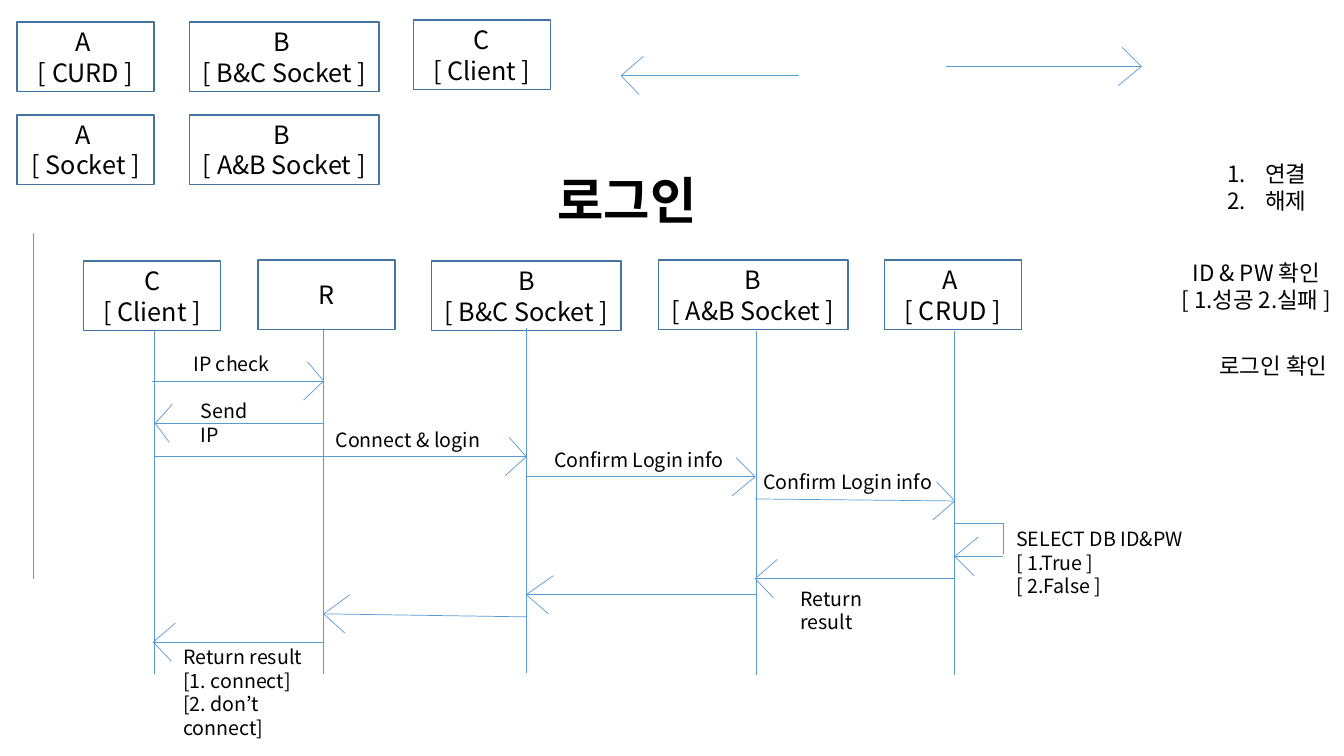
"""Builds the login sequence diagram slide."""
from dataclasses import dataclass

from lxml import etree
from pptx import Presentation
from pptx.dml.color import RGBColor
from pptx.enum.shapes import MSO_CONNECTOR, MSO_SHAPE
from pptx.enum.text import MSO_ANCHOR, MSO_AUTO_SIZE, PP_ALIGN
from pptx.oxml.ns import qn
from pptx.slide import Slide
from pptx.text.text import TextFrame
from pptx.util import Pt

RECTANGLE = MSO_SHAPE.RECTANGLE
STRAIGHT = MSO_CONNECTOR.STRAIGHT
LEFT, CENTER = PP_ALIGN.LEFT, PP_ALIGN.CENTER
MIDDLE = MSO_ANCHOR.MIDDLE
FIT_TEXT = MSO_AUTO_SIZE.SHAPE_TO_FIT_TEXT

EMU_PER_PX = 9144
FONT = "Noto Sans CJK KR"
BLACK = RGBColor(0x00, 0x00, 0x00)
BORDER = RGBColor(0x43, 0x73, 0x9E)
LINE = RGBColor(0x5B, 0x9B, 0xD5)

NARROW, WIDE, ACTOR_HEIGHT = 136, 188, 69
BARB_HEIGHT, LONG_BARB = 19, 1.23
NUMBER_INDENT = 38


@dataclass(frozen=True)
class Actor:
    text: str
    left: int
    top: int
    width: int = NARROW


@dataclass(frozen=True)
class Segment:
    x1: int
    y1: int
    x2: int
    y2: int


@dataclass(frozen=True)
class Message:
    shaft: Segment
    barb: int = 18


@dataclass(frozen=True)
class Label:
    text: str
    left: int
    top: int
    width: int
    height: int = 34
    size: int = 14
    align: PP_ALIGN = LEFT
    bold: bool = False
    numbered: bool = False


ACTORS = [
    Actor("A \n[ CURD ]", 17, 22),
    Actor("A \n[ Socket ]", 17, 114),
    Actor("B \n[ B&C Socket ]", 188, 22, WIDE),
    Actor("B \n[ A&B Socket ]", 188, 114, WIDE),
    Actor("C\n[ Client ]", 410, 20),
    Actor("C\n[ Client ]", 83, 259),
    Actor("R", 256, 258),
    Actor("B\n[ B&C Socket ]", 428, 259, WIDE),
    Actor("B\n[ A&B Socket ]", 653, 258, WIDE),
    Actor("A \n[ CRUD ]", 877, 258),
]

LIFELINES = [
    Segment(33, 231, 33, 574),
    Segment(153, 327, 153, 669),
    Segment(321, 327, 321, 669),
    Segment(522, 325, 522, 668),
    Segment(750, 328, 750, 670),
    Segment(947, 328, 947, 670),
]

SELF_CALL = [Segment(947, 519, 995, 519), Segment(995, 519, 995, 550)]

MESSAGES = [
    Message(Segment(792, 75, 616, 75)),
    Message(Segment(938, 66, 1132, 66), 19),
    Message(Segment(151, 378, 321, 378), 16),
    Message(Segment(321, 420, 154, 420), 14),
    Message(Segment(154, 453, 522, 453), 17),
    Message(Segment(522, 473, 749, 473), 19),
    Message(Segment(749, 495, 947, 497)),
    Message(Segment(995, 552, 947, 552), 19),
    Message(Segment(947, 574, 749, 574)),
    Message(Segment(750, 590, 522, 590), 22),
    Message(Segment(522, 612, 321, 609), 21),
    Message(Segment(321, 637, 152, 637)),
]

LABELS = [
    Label("로그인", 543, 163, 172, 71, 36, bold=True),
    Label("연결\n해제", 1205, 154, 103, 64, 16, CENTER, numbered=True),
    Label("ID & PW 확인\n[ 1.성공 2.실패 ]", 1155, 252, 182, 64, 16, CENTER),
    Label("로그인 확인", 1193, 344, 140, 37, 16, CENTER),
    Label("IP check", 182, 344, 98, 37),
    Label("Send IP", 189, 391, 88),
    Label("Connect & login", 323, 420, 168),
    Label("Confirm Login info", 540, 439, 188),
    Label("Confirm Login info", 747, 461, 188),
    Label("SELECT DB ID&PW\n[ 1.True ]\n[ 2.False ]", 998, 518, 189, 81),
    Label("Return result", 784, 577, 134),
    Label("Return result\n[1. connect]\n[2. don’t connect]", 172, 635, 178, 81),
]


def px(length: int) -> int:
    """Convert px to EMU."""
    return length * EMU_PER_PX


def write_text(frame: TextFrame, text: str, size: int, align: PP_ALIGN, bold: bool = False) -> None:
    """Fill a text frame and format every run."""
    frame.word_wrap = True
    frame.text = text
    for paragraph in frame.paragraphs:
        paragraph.alignment = align
        for run in paragraph.runs:
            run.font.size = Pt(size)
            run.font.bold = bold
            run.font.color.rgb = BLACK
            run.font.name = FONT
            etree.SubElement(run.font._element, qn("a:ea"), typeface=FONT)


def number_paragraphs(frame: TextFrame) -> None:
    """Number the paragraphs with a hanging indent."""
    for paragraph in frame.paragraphs:
        properties = paragraph._p.get_or_add_pPr()
        properties.set("marL", str(px(NUMBER_INDENT)))
        properties.set("indent", str(-px(NUMBER_INDENT)))
        etree.SubElement(properties, qn("a:buFont"), typeface="+mj-lt")
        etree.SubElement(properties, qn("a:buAutoNum"), type="arabicPeriod")


def draw_actor(slide: Slide, actor: Actor) -> None:
    """Draw an outlined participant box."""
    box = slide.shapes.add_shape(
        RECTANGLE, px(actor.left), px(actor.top), px(actor.width), px(ACTOR_HEIGHT)
    )
    box.shadow.inherit = False
    box.fill.background()
    box.line.color.rgb = BORDER
    box.line.width = Pt(1)
    box.text_frame.vertical_anchor = MIDDLE
    write_text(box.text_frame, actor.text, 18, CENTER)


def draw_segment(slide: Slide, segment: Segment) -> None:
    """Draw one thin straight line."""
    connector = slide.shapes.add_connector(
        STRAIGHT, px(segment.x1), px(segment.y1), px(segment.x2), px(segment.y2)
    )
    connector.line.color.rgb = LINE
    connector.line.width = Pt(0.5)
    etree.SubElement(connector._element.spPr, qn("a:effectLst"))


def draw_message(slide: Slide, message: Message) -> None:
    """Draw a shaft with a short and a long barb at its tip."""
    shaft = message.shaft
    x, y = shaft.x2, shaft.y2
    side = 1 if x > shaft.x1 else -1
    rise = side * BARB_HEIGHT
    long_barb = round(message.barb * LONG_BARB)
    draw_segment(slide, shaft)
    draw_segment(slide, Segment(x - side * message.barb, y - rise, x, y))
    draw_segment(slide, Segment(x, y, x - side * long_barb, y + rise))


def draw_label(slide: Slide, label: Label) -> None:
    """Draw a free text label."""
    box = slide.shapes.add_textbox(
        px(label.left), px(label.top), px(label.width), px(label.height)
    )
    frame = box.text_frame
    write_text(frame, label.text, label.size, label.align, label.bold)
    frame.auto_size = FIT_TEXT
    if label.numbered:
        number_paragraphs(frame)


def main() -> None:
    """Build and save the slide."""
    deck = Presentation()
    deck.slide_width, deck.slide_height = px(1333), px(750)
    slide = deck.slides.add_slide(deck.slide_layouts[6])
    for actor in ACTORS:
        draw_actor(slide, actor)
    for segment in LIFELINES + SELF_CALL:
        draw_segment(slide, segment)
    for message in MESSAGES:
        draw_message(slide, message)
    for label in LABELS:
        draw_label(slide, label)
    deck.save("out.pptx")


if __name__ == "__main__":
    main()
